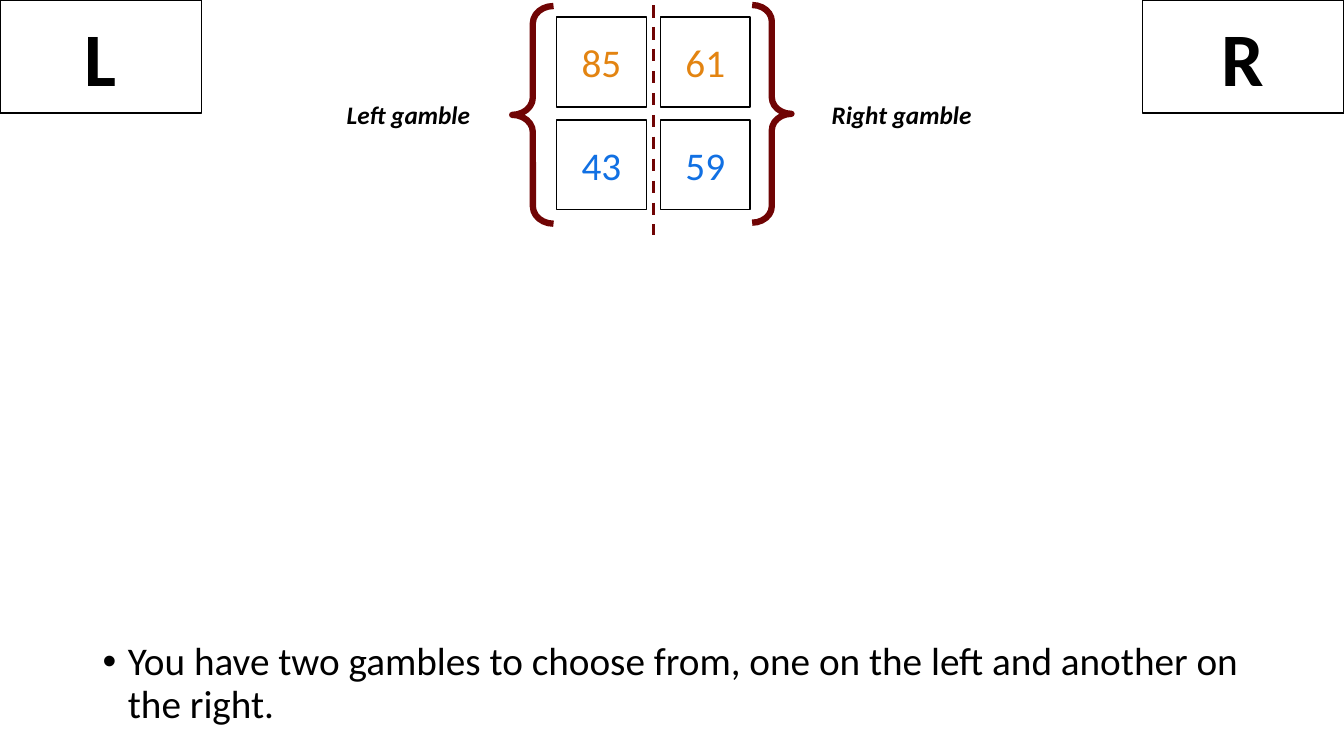
from dataclasses import dataclass

from lxml.etree import SubElement
from pptx import Presentation
from pptx.dml.color import RGBColor
from pptx.enum.dml import MSO_LINE
from pptx.enum.shapes import MSO_CONNECTOR, MSO_SHAPE
from pptx.enum.text import MSO_ANCHOR, PP_ALIGN
from pptx.oxml.ns import qn
from pptx.util import Inches, Pt

FONT = "Calibri"
COLOURS = {
    "black": "000000",
    "white": "FFFFFF",
    "orange": "E38411",
    "blue": "1170E3",
    "maroon": "700404",
}
CELL_SIZE = 0.89
CELL_TOP, CELL_STEP_Y = 0.17, 1.02
KEY_WIDTH, KEY_HEIGHT = 2, 1.12


@dataclass
class Key:
    letter: str
    left: float


@dataclass
class Gamble:
    label: str
    label_left: float
    label_width: float
    cell_left: float
    values: tuple[str, str]
    brace: MSO_SHAPE
    brace_box: tuple[float, float, float, float]


KEYS = [Key("L", 0), Key("R", 11.33)]
GAMBLES = [
    Gamble("Left gamble", 3.34, 1.47, 5.52, ("85", "43"),
           MSO_SHAPE.LEFT_BRACE, (5.08, 0.06, 0.41, 2.16)),
    Gamble("Right gamble", 8.15, 1.74, 6.55, ("61", "59"),
           MSO_SHAPE.RIGHT_BRACE, (7.46, 0.05, 0.39, 2.16)),
]
ROW_COLOURS = ("orange", "blue")


def colour(name: str) -> RGBColor:
    return RGBColor.from_string(COLOURS[name])


def add_run(paragraph, text: str, size: float, colour_name: str = "black",
            bold: bool = False, italic: bool = False) -> None:
    run = paragraph.add_run()
    run.text = text
    run.font.name = FONT
    run.font.size = Pt(size)
    run.font.bold = bold
    run.font.italic = italic
    run.font.color.rgb = colour(colour_name)


def add_outline(slide, kind: MSO_SHAPE, box: tuple, line_colour: str, line_width: float):
    shape = slide.shapes.add_shape(kind, *map(Inches, box))
    shape.shadow.inherit = False
    shape.fill.background()
    shape.line.color.rgb = colour(line_colour)
    shape.line.width = Pt(line_width)
    return shape


def add_box(slide, box: tuple, text: str, size: float,
            colour_name: str = "black", bold: bool = False):
    shape = add_outline(slide, MSO_SHAPE.RECTANGLE, box, "black", 1)
    shape.text_frame.vertical_anchor = MSO_ANCHOR.MIDDLE
    paragraph = shape.text_frame.paragraphs[0]
    paragraph.alignment = PP_ALIGN.CENTER
    add_run(paragraph, text, size, colour_name, bold)
    return shape


def add_key(slide, key: Key) -> None:
    shape = add_box(slide, (key.left, 0, KEY_WIDTH, KEY_HEIGHT), key.letter, 54, bold=True)
    shape.fill.solid()
    shape.fill.fore_color.rgb = colour("white")


def add_gamble(slide, gamble: Gamble) -> None:
    for row, (value, colour_name) in enumerate(zip(gamble.values, ROW_COLOURS)):
        top = CELL_TOP + row * CELL_STEP_Y
        add_box(slide, (gamble.cell_left, top, CELL_SIZE, CELL_SIZE), value, 28, colour_name)
    brace = add_outline(slide, gamble.brace, gamble.brace_box, "maroon", 4.5)
    brace.adjustments[0] = 0.42
    brace.adjustments[1] = 0.5
    label = slide.shapes.add_textbox(Inches(gamble.label_left), Inches(0.94),
                                     Inches(gamble.label_width), Inches(0.4))
    label.text_frame.word_wrap = True
    add_run(label.text_frame.paragraphs[0], gamble.label, 18, bold=True, italic=True)


def add_divider(slide) -> None:
    divider = slide.shapes.add_connector(MSO_CONNECTOR.STRAIGHT, Inches(6.48), Inches(0.05),
                                         Inches(6.48), Inches(2.33))
    divider.line.color.rgb = colour("maroon")
    divider.line.width = Pt(2.25)
    divider.line.dash_style = MSO_LINE.DASH
    SubElement(divider._element.spPr, qn("a:effectLst"))


def add_instruction(slide, text: str) -> None:
    box = slide.shapes.add_textbox(Inches(0.92), Inches(6.32), Inches(11.5), Inches(1.02))
    box.text_frame.word_wrap = True
    paragraph = box.text_frame.paragraphs[0]
    paragraph.line_spacing = 0.9
    properties = paragraph._p.get_or_add_pPr()
    properties.set("marL", str(Inches(0.25)))
    properties.set("indent", str(Inches(-0.25)))
    SubElement(properties, qn("a:buFont"), typeface="Arial")
    SubElement(properties, qn("a:buChar"), char="•")
    add_run(paragraph, text, 28)


def main() -> None:
    presentation = Presentation()
    presentation.slide_width = Inches(13.33)
    presentation.slide_height = Inches(7.5)
    slide = presentation.slides.add_slide(presentation.slide_layouts[6])

    # Instruction at the bottom
    add_instruction(slide, "You have two gambles to choose from, "
                           "one on the left and another on the right.")
    # Response keys in the corners
    for key in KEYS:
        add_key(slide, key)
    # Gambles on either side of the divider
    for gamble in GAMBLES:
        add_gamble(slide, gamble)
    add_divider(slide)

    presentation.save("out.pptx")


if __name__ == "__main__":
    main()
